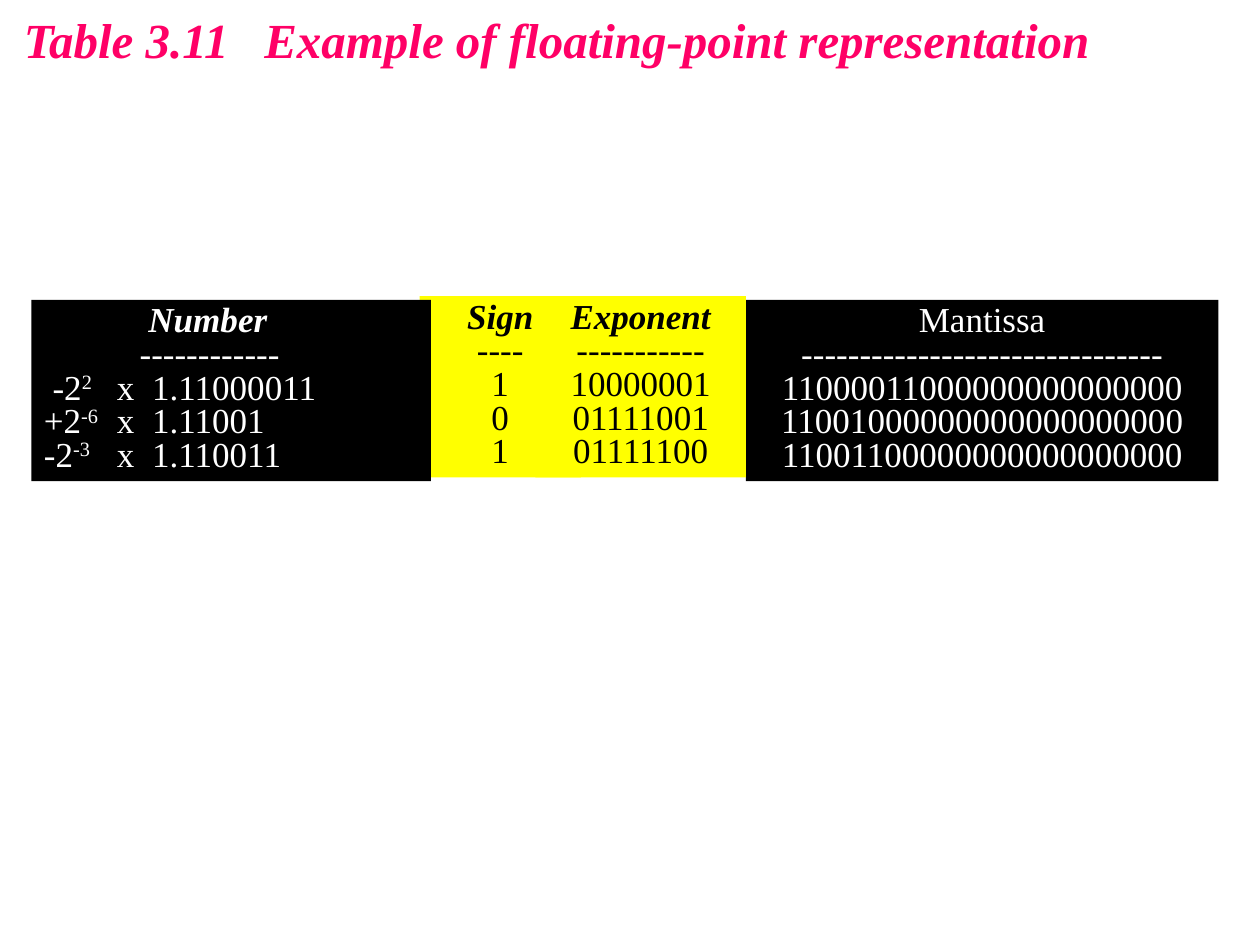
from pptx import Presentation
from pptx.dml.color import RGBColor
from pptx.enum.shapes import MSO_SHAPE
from pptx.enum.text import MSO_ANCHOR, PP_ALIGN
from pptx.oxml import parse_xml
from pptx.oxml.ns import nsdecls
from pptx.util import Inches, Pt

PINK = RGBColor(0xFF, 0x00, 0x66)
YELLOW = RGBColor(0xFF, 0xFF, 0x00)
BLACK = RGBColor(0x00, 0x00, 0x00)
WHITE = RGBColor(0xFF, 0xFF, 0xFF)

# Content: the title, then the columns from back to front
TITLE = "Table 3.11\tExample of floating-point representation"
COLS = [
    dict(head="Sign", dash=4, rows=["1", "0", "1"],
         left=3.33, top=2.35, width=1.28, fill=YELLOW, ink=BLACK, slant=True),
    dict(head="Mantissa", dash=31,
         rows=["11000011000000000000000", "11001000000000000000000",
               "11001100000000000000000"],
         left=5.92, top=2.38, width=3.75, fill=BLACK, ink=WHITE, slant=False),
    dict(head="Number", dash=12,
         rows=[(" -2", "2", "\tx\t1.11000011"), ("+2", "-6", "\tx\t1.11001"),
               ("-2", "-3", "\tx\t1.110011")],
         left=0.25, top=2.38, width=3.17, fill=BLACK, ink=WHITE, slant=True,
         indents=(0.83, 0.76), tabs=(0.58, 0.86)),
    dict(head="Exponent", dash=11, rows=["10000001", "01111001", "01111100"],
         left=4.25, top=2.35, width=1.67, fill=YELLOW, ink=BLACK, slant=True),
]
HEIGHT = 1.44


def add_run(para, text, size, ink, slant=False, base=0):
    run = para.add_run()
    run.text = text
    look = dict(name="Times New Roman", size=Pt(size), bold=slant, italic=slant)
    for key, val in look.items():
        setattr(run.font, key, val)
    run.font.color.rgb = ink
    if base:
        run.font._element.set("baseline", str(base * 1000))


def set_tabs(para, stops):
    marks = "".join(f'<a:tab pos="{Inches(s)}" algn="l"/>' for s in stops)
    para._p.get_or_add_pPr().append(
        parse_xml(f'<a:tabLst {nsdecls("a")}>{marks}</a:tabLst>'))


def add_col(slide, col):
    box = slide.shapes.add_shape(
        MSO_SHAPE.RECTANGLE, Inches(col["left"]), Inches(col["top"]),
        Inches(col["width"]), Inches(HEIGHT))
    box.shadow.inherit = False
    box.fill.solid()
    box.fill.fore_color.rgb = col["fill"]
    box.line.fill.background()
    frame = box.text_frame
    frame.word_wrap = True
    frame.vertical_anchor = MSO_ANCHOR.TOP

    lines = [col["head"], "-" * col["dash"], *col["rows"]]
    indents = col.get("indents")
    for i, line in enumerate(lines):
        para = frame.paragraphs[0] if i == 0 else frame.add_paragraph()
        para.line_spacing = 0.8
        para.alignment = PP_ALIGN.LEFT if indents else PP_ALIGN.CENTER
        if indents and i < len(indents):
            para._p.get_or_add_pPr().set("marL", str(Inches(indents[i])))
        if isinstance(line, str):
            add_run(para, line, 20, col["ink"], col["slant"] and i == 0)
        else:
            set_tabs(para, col["tabs"])
            for part, base in zip(line, (0, 30, 0)):
                add_run(para, part, 20, col["ink"], base=base)


def main():
    deck = Presentation()
    deck.slide_width, deck.slide_height = Inches(10), Inches(7.5)
    slide = deck.slides.add_slide(deck.slide_layouts[6])

    # Title
    box = slide.shapes.add_textbox(
        Inches(0.09), Inches(0.03), Inches(8.72), Inches(0.57))
    box.text_frame.word_wrap = True
    para = box.text_frame.paragraphs[0]
    set_tabs(para, [1.91])
    add_run(para, TITLE, 28, PINK, slant=True)

    # Columns
    for col in COLS:
        add_col(slide, col)
    deck.save("out.pptx")


if __name__ == "__main__":
    main()
